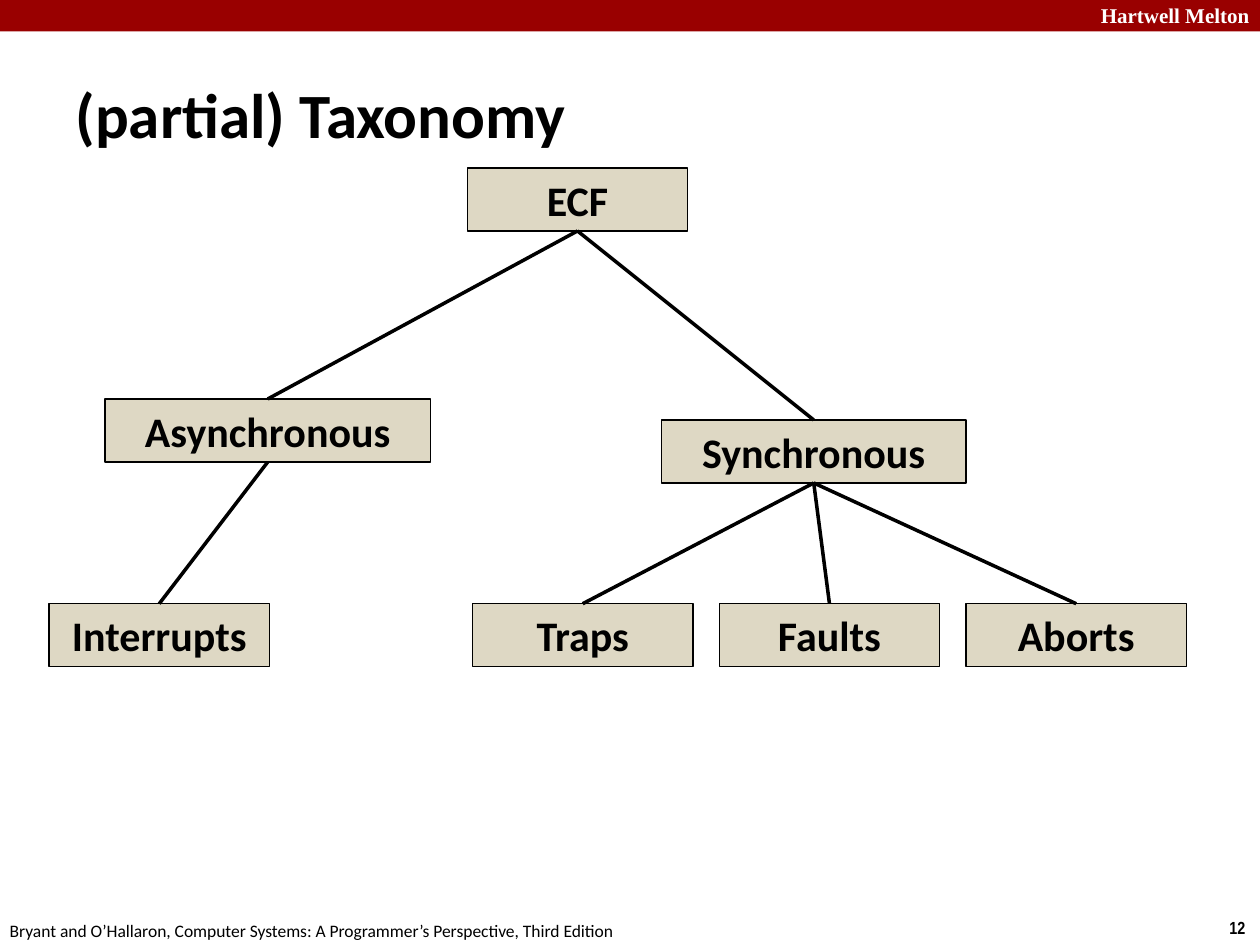
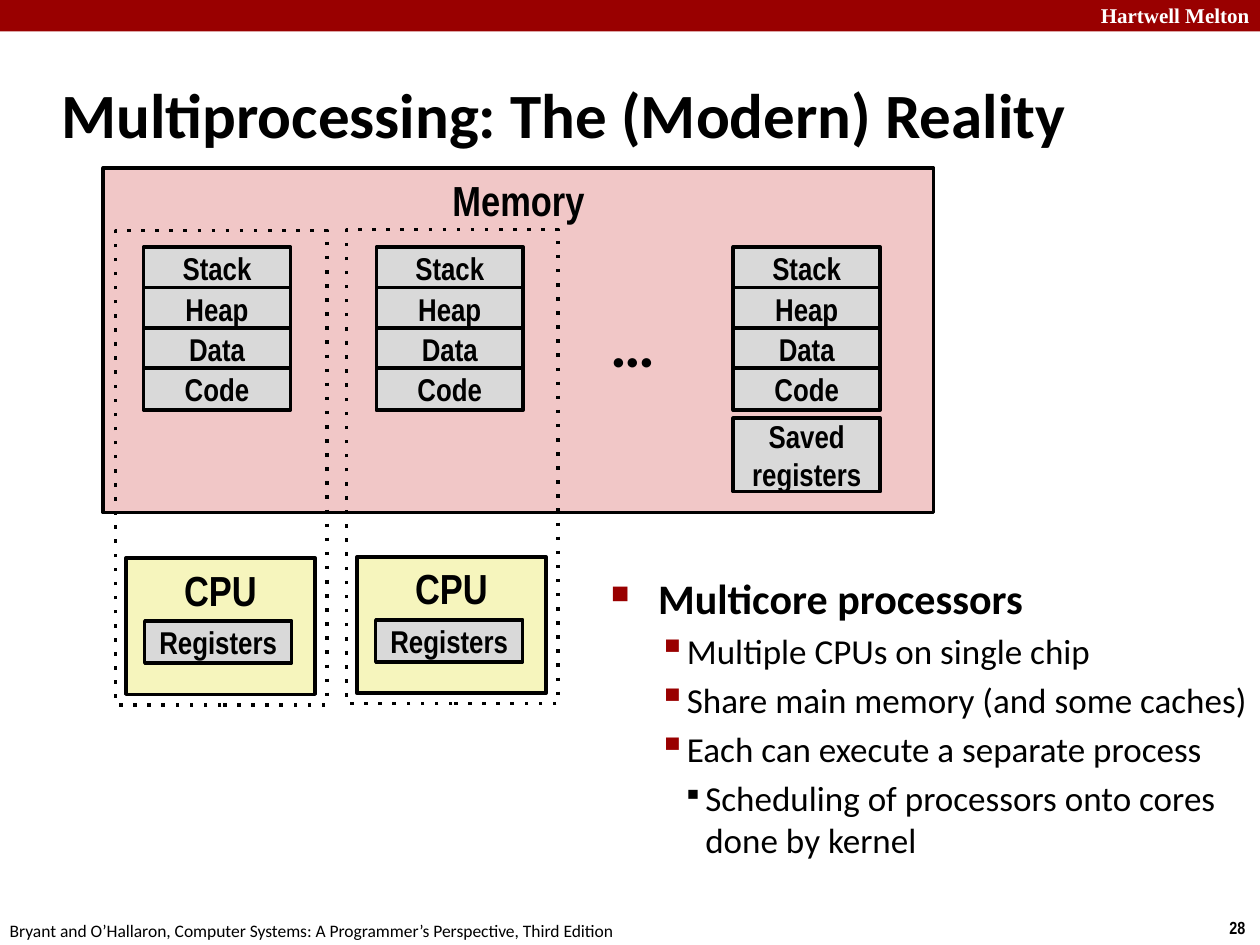
from lxml.etree import SubElement
from pptx import Presentation
from pptx.dml.color import RGBColor
from pptx.enum.shapes import MSO_CONNECTOR as Link, MSO_SHAPE as Shape
from pptx.enum.text import MSO_ANCHOR as Anchor, PP_ALIGN as Align
from pptx.oxml.ns import qn
from pptx.util import Pt

RED = RGBColor(0x99, 0x00, 0x00)
BLACK = RGBColor(0x00, 0x00, 0x00)
WHITE = RGBColor(0xFF, 0xFF, 0xFF)
TAN = RGBColor(0xDE, 0xD8, 0xC4)
PINK = RGBColor(0xF1, 0xC7, 0xC7)
GRAY = RGBColor(0xD9, 0xD9, 0xD9)
YELLOW = RGBColor(0xF6, 0xF5, 0xBD)
BODY, LABEL, SERIF = "Calibri", "Arial Narrow", "Times New Roman"


def write(slide, text, x, y, w, h, size, font=BODY, bold=True, color=BLACK, wrap=True):
    area = slide.shapes.add_textbox(Pt(x), Pt(y), Pt(w), Pt(h))
    frame = area.text_frame
    frame.text = text
    frame.word_wrap = wrap
    for para in frame.paragraphs:
        face = para.runs[0].font
        face.name, face.size, face.bold = font, Pt(size), bold
        face.color.rgb = color
    return frame


def box(slide, x, y, w, h, fill, text="", size=18, font=LABEL, anchor=Anchor.MIDDLE, line=2):
    rect = slide.shapes.add_shape(Shape.RECTANGLE, Pt(x), Pt(y), Pt(w), Pt(h))
    rect.shadow.inherit = False
    if fill is None:
        rect.fill.background()
    else:
        rect.fill.solid()
        rect.fill.fore_color.rgb = fill
    if line:
        rect.line.color.rgb = BLACK
        rect.line.width = Pt(line)
    else:
        rect.line.fill.background()
    if text:
        frame = rect.text_frame
        frame.text = text
        frame.word_wrap = True
        frame.vertical_anchor = anchor
        para = frame.paragraphs[0]
        para.alignment = Align.CENTER
        face = para.runs[0].font
        face.name, face.size, face.bold = font, Pt(size), True
        face.color.rgb = BLACK
    return rect


deck = Presentation()
deck.slide_width, deck.slide_height = Pt(720), Pt(540)

# Band, footer, page number and title of every slide
pages = []
for title, number, width in [
    (" (partial) Taxonomy", "12", 598),
    ("Multiprocessing: The (Modern) Reality", "28", 668),
]:
    page = deck.slides.add_slide(deck.slide_layouts[6])
    box(page, 0, 0, 720, 18, RED, line=0)
    write(page, "Hartwell Melton", 622, -2, 103, 22, 12, SERIF, color=WHITE)
    write(page, number, 695.5, 520.5, 24.5, 19.5, 10, LABEL, wrap=False)
    write(page, "Bryant and O’Hallaron, Computer Systems: A Programmer’s Perspective, Third Edition",
          -1.5, 522, 366, 19.5, 10, bold=False, wrap=False)
    head = write(page, title, 28, 34.5, width, 60, 36)
    head.vertical_anchor = Anchor.MIDDLE
    pages.append(page)
tree, multi = pages

# Taxonomy: nodes
nodes = {}
for name, x, y, w in [
    ("ECF", 267, 96, 126),
    ("Asynchronous", 60, 228, 186),
    ("Synchronous", 378, 240, 174),
    ("Interrupts", 28, 345, 126),
    ("Traps", 270, 345, 126),
    ("Faults", 411, 345, 126),
    ("Aborts", 552, 345, 126),
]:
    nodes[name] = box(tree, x, y, w, 36, TAN, name, 24, BODY, Anchor.TOP, 0.75)

# Taxonomy: branches
kids = {
    "ECF": ["Asynchronous", "Synchronous"],
    "Asynchronous": ["Interrupts"],
    "Synchronous": ["Traps", "Faults", "Aborts"],
}
for top, names in kids.items():
    for name in names:
        edge = tree.shapes.add_connector(Link.STRAIGHT, 0, 0, 0, 0)
        edge.begin_connect(nodes[top], 2)
        edge.end_connect(nodes[name], 0)
        edge.line.color.rgb = BLACK
        edge.line.width = Pt(2)
        SubElement(edge._element.spPr, qn("a:effectLst"))

# Memory with one column of segments per process
box(multi, 59, 96, 474.5, 197, PINK, "Memory", 24, anchor=Anchor.TOP)
for x in (82, 215, 419):
    for row, name in enumerate(["Stack", "Heap", "Data", "Code"]):
        box(multi, x, 141.1 + 23.1 * row, 84, 24, GRAY, name)
box(multi, 419, 239, 84, 42, GRAY, "Saved registers")
write(multi, "…", 342, 170.5, 40, 51, 36, wrap=False)

# Cores, each in a dotted frame
for x, y in [(66, 131.8), (198, 131.2)]:
    box(multi, x + 6, y + 187, 108, 78, YELLOW, "CPU", 24, anchor=Anchor.TOP)
    box(multi, x + 16.7, y + 223, 84, 24, GRAY, "Registers")
    core = box(multi, x, y, 121, 271, None)
    SubElement(core._element.spPr.find(qn("a:ln")), qn("a:prstDash"), val="dot")

# Bulleted notes
notes = [
    ("Multicore processors", 0),
    ("Multiple CPUs on single chip", 1),
    ("Share main memory (and some caches)", 1),
    ("Each can execute a separate process", 1),
    ("Scheduling of processors onto cores done by kernel", 2),
]
# For each level: text size, left margin, hanging indent, bullet, its percent and colour
levels = [
    (24, 27, 27, "■", 60, RED),
    (20, 41, 14, "▪", 110, RED),
    (20, 54, 13, "▪", 80, BLACK),
]
body = write(multi, "\n".join(text for text, _ in notes), 342, 323.5, 390, 210, 20, bold=False)
for para, (_, level) in zip(body.paragraphs, notes):
    size, left, hang, mark, scale, color = levels[level]
    para.level = level
    para.space_before = Pt(size / 5)
    para.runs[0].font.size = Pt(size)
    para.runs[0].font.bold = level == 0
    props = para._p.get_or_add_pPr()
    props.set("marL", str(Pt(left)))
    props.set("indent", str(-Pt(hang)))
    tint = SubElement(props, qn("a:buClr"))
    SubElement(tint, qn("a:srgbClr"), val=str(color))
    SubElement(props, qn("a:buSzPct"), val=str(scale * 1000))
    SubElement(props, qn("a:buChar"), char=mark)

deck.save("out.pptx")
